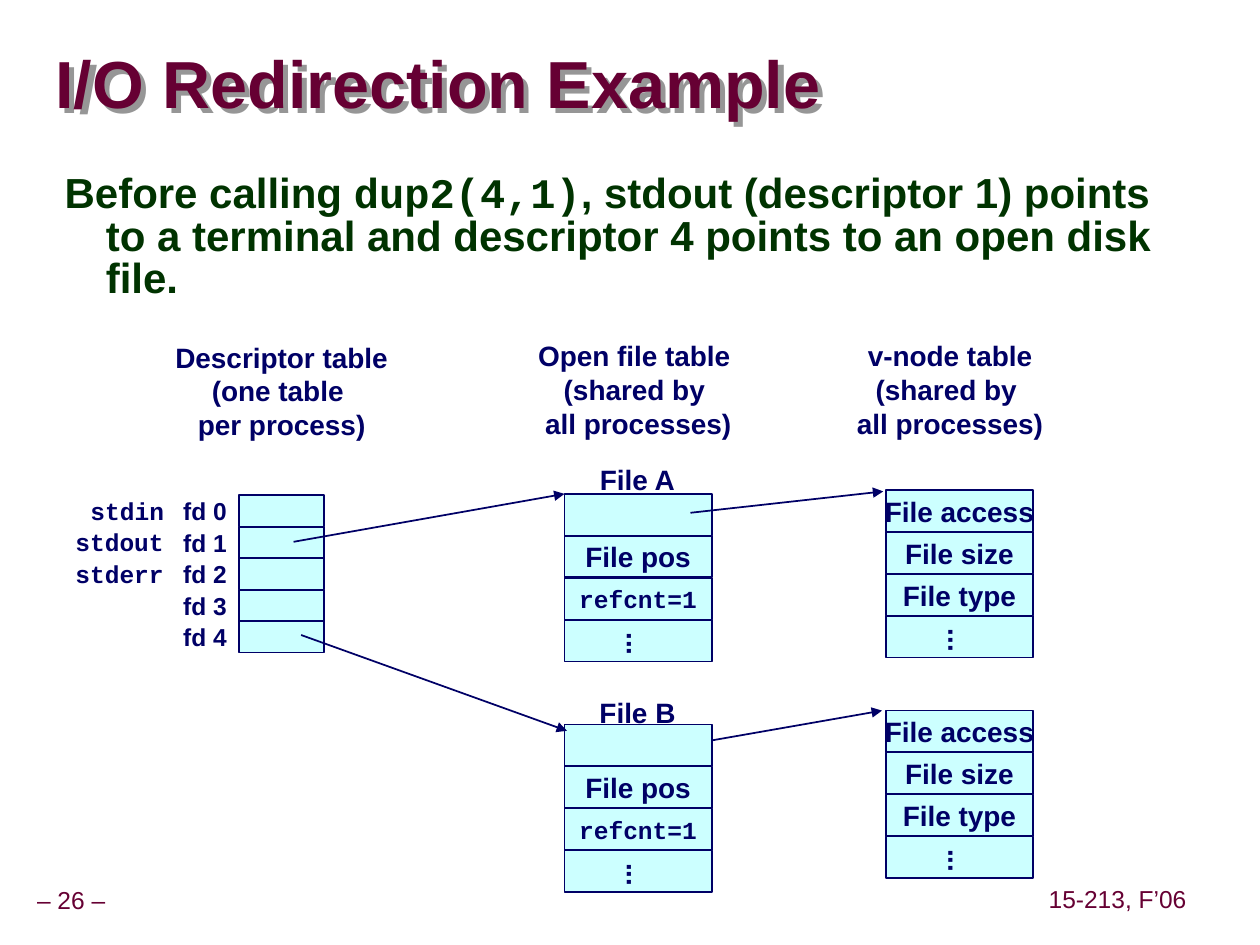
import pptx
import pptx.util
import pptx.dml.color
import pptx.enum.shapes
import pptx.enum.text
import pptx.oxml
import pptx.oxml.ns
from lxml import etree

Inches, Pt = pptx.util.Inches, pptx.util.Pt
ALIGN = pptx.enum.text.PP_ALIGN
ANCHOR = pptx.enum.text.MSO_ANCHOR
AUTO_SIZE = pptx.enum.text.MSO_AUTO_SIZE
COLORS = {"title": "660033", "body": "003300", "ink": "000066",
          "cell": "CCFFFF", "shadow": "969696"}
SANS, MONO = "Arial", "Courier New"
DOTS = "..."


def rgb(name):
    return pptx.dml.color.RGBColor.from_string(COLORS[name])


def sub(parent, tag, **attributes):
    return etree.SubElement(parent, pptx.oxml.ns.qn(tag), attributes)


class Diagram:
    def __init__(self, slide):
        self.slide = slide

    def style(self, paragraph, size, color="ink", face=SANS, bold=True,
              align=ALIGN.LEFT, spacing=1.0):
        paragraph.alignment = align
        paragraph.line_spacing = spacing
        font = paragraph.font
        font.size, font.name, font.bold = Pt(size), face, bold
        font.color.rgb = rgb(color)

    def frame(self, shape, x_inset=0.1, y_inset=0.05, wrap=False,
              anchor=ANCHOR.MIDDLE, auto_size=AUTO_SIZE.NONE):
        frame = shape.text_frame
        frame.margin_left = frame.margin_right = Inches(x_inset)
        frame.margin_top = frame.margin_bottom = Inches(y_inset)
        frame.word_wrap, frame.auto_size = wrap, auto_size
        frame.vertical_anchor = anchor
        return frame

    def place(self, shape, left, top, width, height):
        shape.left, shape.top = Inches(left), Inches(top)
        shape.width, shape.height = Inches(width), Inches(height)

    def title(self, text):
        """Write the title; an unfilled shape casts its shadow from the text."""
        title = self.slide.shapes.title
        self.place(title, 0.44, 0.27, 9.53, 0.85)
        frame = self.frame(title, 0, 0, wrap=True)
        frame.text = text
        self.style(frame.paragraphs[0], 38, "title", spacing=0.87)
        title.fill.background()
        effects = sub(title._element.spPr, "a:effectLst")
        shadow = sub(effects, "a:outerShdw", dist=str(Inches(0.06)), dir="2700000")
        sub(shadow, "a:srgbClr", val=COLORS["shadow"])

    def body(self, runs):
        """Fill the body with (text, typeface) runs in one hanging paragraph."""
        body = self.slide.placeholders[1]
        self.place(body, 0.32, 1.33, 9.09, 1.16)
        paragraph = self.frame(body, wrap=True, anchor=ANCHOR.TOP).paragraphs[0]
        properties = paragraph._p.get_or_add_pPr()
        properties.set("marL", str(Inches(0.42)))
        properties.set("indent", str(Inches(-0.42)))
        sub(properties, "a:buNone")
        paragraph.space_before = Pt(0)
        self.style(paragraph, 24, "body", spacing=0.85)
        for text, face in runs:
            run = paragraph.add_run()
            run.text, run.font.name = text, face

    def label(self, box, text, size, inset=0.1, auto_size=AUTO_SIZE.SHAPE_TO_FIT_TEXT,
              **style):
        shape = self.slide.shapes.add_textbox(*map(Inches, box))
        frame = self.frame(shape, inset, auto_size=auto_size)
        frame.text = text
        for paragraph in frame.paragraphs:
            self.style(paragraph, size, **style)

    def cell(self, left, top, width, height, text=""):
        shape = self.slide.shapes.add_shape(
            pptx.enum.shapes.MSO_SHAPE.RECTANGLE,
            *map(Inches, (left, top, width, height)))
        shape.shadow.inherit = False
        shape.fill.solid()
        shape.fill.fore_color.rgb = rgb("cell")
        shape.line.color.rgb = rgb("ink")
        shape.line.width = Pt(1)
        if not text:
            return
        vertical = text == DOTS
        frame = self.frame(shape, *((0.05, 0.1) if vertical else (0.1, 0.05)))
        if vertical:
            frame._txBody.bodyPr.set("vert", "eaVert")
        frame.text = text
        code = text.startswith("refcnt")
        self.style(frame.paragraphs[0], 14 if code else 16,
                   face=MONO if code else SANS, align=ALIGN.CENTER)

    def record(self, left, top, fields):
        """Stack one cell per field."""
        for row, field in enumerate(fields):
            self.cell(left, top + row / 3, 1.17, 0.33, field)

    def arrow(self, *ends):
        line = self.slide.shapes.add_connector(
            pptx.enum.shapes.MSO_CONNECTOR.STRAIGHT, *map(Inches, ends))
        line.line.color.rgb = rgb("ink")
        line.line.width = Pt(1)
        sub(line.line._get_or_add_ln(), "a:tailEnd", type="triangle")
        sub(line._element.spPr, "a:effectLst")


def main():
    deck = pptx.Presentation()
    deck.slide_width, deck.slide_height = Inches(10), Inches(7.5)
    diagram = Diagram(deck.slides.add_slide(deck.slide_layouts[1]))

    for box, footer in [((-0.09, 7, 1.31, 0.31), "– 26 –"),
                        ((8.27, 6.99, 1.2, 0.31), "15-213, F’06")]:
        diagram.label(box, footer, 14, inset=0.05, color="title", bold=False,
                      align=ALIGN.CENTER, spacing=0.9)
    diagram.title("I/O Redirection Example")
    diagram.body([
        (" Before calling ", SANS), ("dup2(4,1)", MONO),
        (", stdout (descriptor 1) points to a terminal and descriptor 4 "
         "points to an open disk file.", SANS)])

    for left, top, width, heading in [
            (1.29, 2.65, 1.89, "Descriptor table\n(one table \nper process)"),
            (4.17, 2.64, 1.79, "Open file table \n(shared by \nall processes)"),
            (6.7, 2.64, 1.68, "v-node table\n(shared by \nall processes)")]:
        diagram.label((left, top, width, 0.9), heading, 16, align=ALIGN.CENTER)

    for descriptor in range(5):
        top = 3.93 + 0.25 * descriptor
        diagram.cell(1.9, top, 0.67, 0.25)
        diagram.label((1.23, top, 0.67, 0.25), f"fd {descriptor}", 14,
                      auto_size=AUTO_SIZE.NONE, align=ALIGN.RIGHT)
    for row, (left, width, stream) in enumerate([
            (0.62, 0.8, "stdin"), (0.5, 0.92, "stdout"), (0.5, 0.92, "stderr")]):
        diagram.label((left, 3.88 + 0.25 * row, width, 0.34), stream, 14, face=MONO)

    # The file B cell covers the start of this arrow.
    diagram.arrow(5.4, 5.92, 7, 5.64)
    for name, name_top, file_top, vnode_top in [
            ("File A", 3.62, 3.92, 3.89), ("File B", 5.47, 5.75, 5.64)]:
        diagram.record(4.48, file_top, ["", "File pos", "refcnt=1", DOTS])
        diagram.record(7.03, vnode_top,
                       ["File access", "File size", "File type", DOTS])
        diagram.label((4.66, name_top, 0.8, 0.37), name, 16, align=ALIGN.CENTER)
    for ends in [(2.33, 4.3, 4.48, 3.92), (2.39, 5.04, 4.5, 5.8),
                 (5.48, 4.07, 7.01, 3.9)]:
        diagram.arrow(*ends)

    deck.save("out.pptx")


if __name__ == "__main__":
    main()
